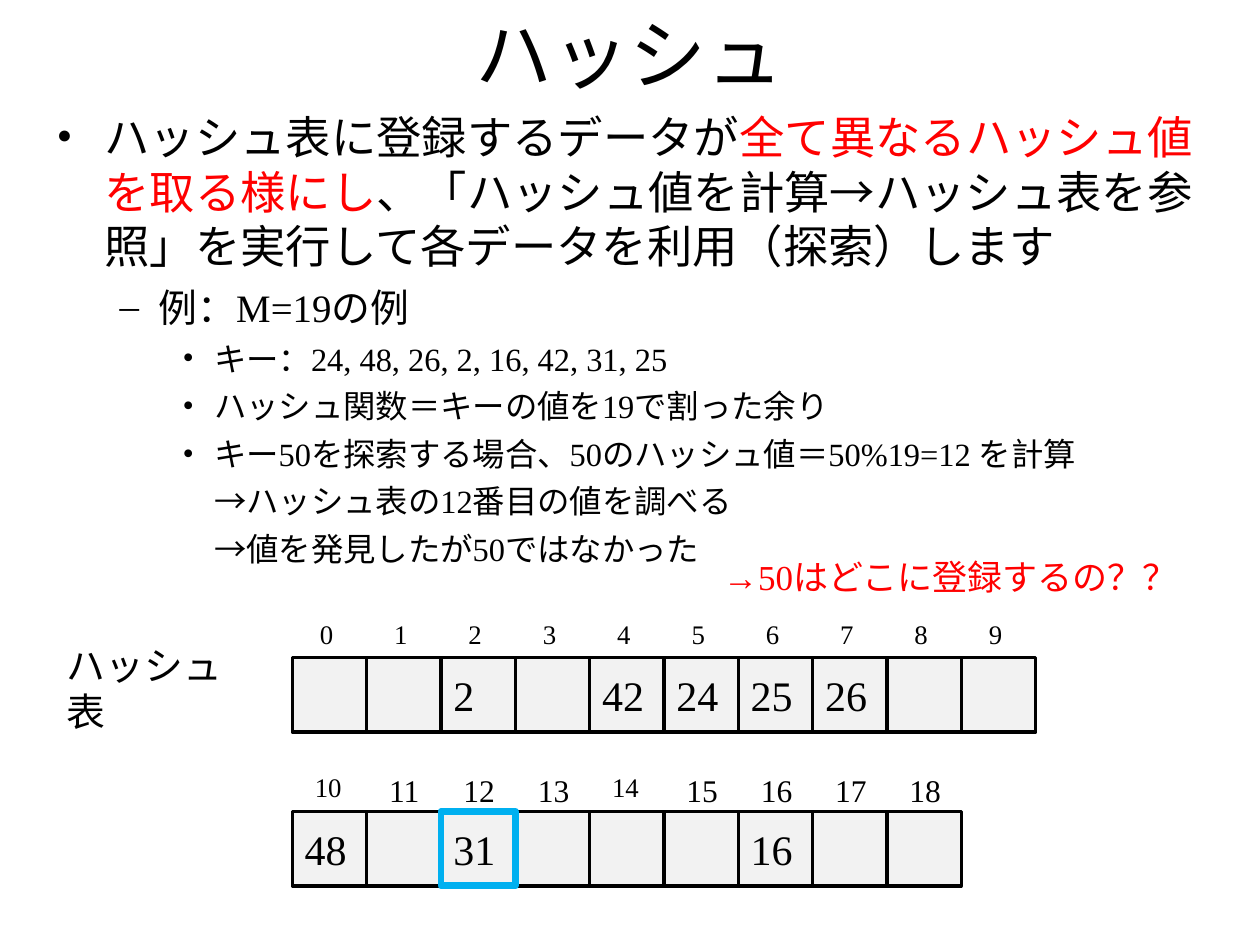
from lxml import etree
from pptx import Presentation
from pptx.dml.color import RGBColor
from pptx.enum.shapes import MSO_SHAPE
from pptx.enum.text import MSO_ANCHOR, PP_ALIGN
from pptx.oxml.ns import qn
from pptx.util import Inches, Pt

RECT = MSO_SHAPE.RECTANGLE
MIDDLE = MSO_ANCHOR.MIDDLE
LEFT, CENTER = PP_ALIGN.LEFT, PP_ALIGN.CENTER

BLACK = RGBColor(0x00, 0x00, 0x00)
RED = RGBColor(0xFF, 0x00, 0x00)
CELL_GRAY = RGBColor(0xF2, 0xF2, 0xF2)
HIGHLIGHT = RGBColor(0x00, 0xB0, 0xF0)
FONT = "Times New Roman"

CELL = 0.59
TABLE_LEFT = 2.32
LABEL_RISE = 0.37

# Outline levels: left margin, hanging indent, space before, text size
LEVELS = [(0.38, 0.38, 7, 25.9), (0.81, 0.31, 6, 22.2), (1.25, 0.25, 5, 18.5)]

# Level, bullet, runs
BODY = [
    (0, "•", [("ハッシュ表に登録するデータが", BLACK),
              ("全て異なるハッシュ値を取る様にし", RED),
              ("、「ハッシュ値を計算→ハッシュ表を参照」を実行して"
               "各データを利用（探索）します", BLACK)]),
    (1, "–", [("例：M=19の例", BLACK)]),
    (2, "•", [("キー：24, 48, 26, 2, 16, 42, 31, 25", BLACK)]),
    (2, "•", [("ハッシュ関数＝キーの値を19で割った余り", BLACK)]),
    (2, "•", [("キー50を探索する場合、50のハッシュ値＝50%19=12 を計算", BLACK)]),
    (2, None, [("→ハッシュ表の12番目の値を調べる", BLACK)]),
    (2, None, [("→値を発見したが50ではなかった", BLACK)]),
]

# First slot, slot count, top of cells, left of first label
TABLE_ROWS = [(0, 10, 5.22, 2.44), (10, 9, 6.44, 2.40)]
VALUES = {2: "2", 4: "42", 5: "24", 6: "25", 7: "26",
          10: "48", 12: "31", 16: "16"}
LARGE_LABELS = {11, 12, 13, 15, 16, 17, 18}


def style_font(font, size, color):
    font.name = FONT
    font.size = Pt(size)
    font.color.rgb = color


def add_text(slide, left, top, width, height, text, size, color=BLACK, align=LEFT):
    box = slide.shapes.add_textbox(Inches(left), Inches(top),
                                   Inches(width), Inches(height))
    tf = box.text_frame
    tf.word_wrap = True
    tf.text = text
    p = tf.paragraphs[0]
    p.alignment = align
    style_font(p.runs[0].font, size, color)
    return box


def set_outline(p, margin, hang, bullet):
    """Indent the paragraph, hanging the bullet if there is one."""
    pPr = p._p.get_or_add_pPr()
    pPr.set("marL", str(Inches(margin)))
    pPr.set("indent", str(-Inches(hang) if bullet else 0))
    if bullet:
        etree.SubElement(pPr, qn("a:buFont")).set("typeface", FONT)
        etree.SubElement(pPr, qn("a:buChar")).set("char", bullet)
    else:
        etree.SubElement(pPr, qn("a:buNone"))


def add_body(slide):
    box = slide.shapes.add_textbox(Inches(0.35), Inches(0.82),
                                   Inches(9.29), Inches(4.01))
    tf = box.text_frame
    tf.word_wrap = True
    for i, (level, bullet, runs) in enumerate(BODY):
        margin, hang, before, size = LEVELS[level]
        p = tf.add_paragraph() if i else tf.paragraphs[0]
        p.level = level
        set_outline(p, margin, hang, bullet)
        if i:
            p.space_before = Pt(before)
        for text, color in runs:
            r = p.add_run()
            r.text = text
            style_font(r.font, size, color)


def add_square(slide, left, top, line_color, line_width):
    sp = slide.shapes.add_shape(RECT, Inches(left), Inches(top),
                                Inches(CELL), Inches(CELL))
    sp.shadow.inherit = False
    sp.line.color.rgb = line_color
    sp.line.width = Pt(line_width)
    return sp


def add_cell(slide, left, top, value):
    sp = add_square(slide, left, top, BLACK, 2)
    sp.fill.solid()
    sp.fill.fore_color.rgb = CELL_GRAY
    if value:
        tf = sp.text_frame
        tf.vertical_anchor = MIDDLE
        tf.text = value
        p = tf.paragraphs[0]
        p.alignment = LEFT
        style_font(p.runs[0].font, 24, BLACK)


def add_hash_table(slide):
    for first, count, top, label_left in TABLE_ROWS:
        for col in range(count):
            slot = first + col
            add_cell(slide, TABLE_LEFT + col * CELL, top, VALUES.get(slot))
            size = 18 if slot in LARGE_LABELS else 15.3
            add_text(slide, label_left + col * CELL, top - LABEL_RISE,
                     0.5, 0.38, str(slot), size)


def main():
    prs = Presentation()
    prs.slide_width, prs.slide_height = Inches(10), Inches(7.5)
    slide = prs.slides.add_slide(prs.slide_layouts[6])

    title = add_text(slide, 0.75, 0.13, 8.5, 0.58, "ハッシュ", 44, align=CENTER)
    title.text_frame.vertical_anchor = MIDDLE
    add_body(slide)
    add_text(slide, 0.43, 5.04, 1.73, 0.53, "ハッシュ表", 22.2)
    add_hash_table(slide)
    found = add_square(slide, TABLE_LEFT + 2 * CELL, 6.44, HIGHLIGHT, 4)
    found.fill.background()
    add_text(slide, 5.64, 4.36, 4.12, 0.57, "→50はどこに登録するの？？", 20, RED)

    prs.save("out.pptx")


if __name__ == "__main__":
    main()
